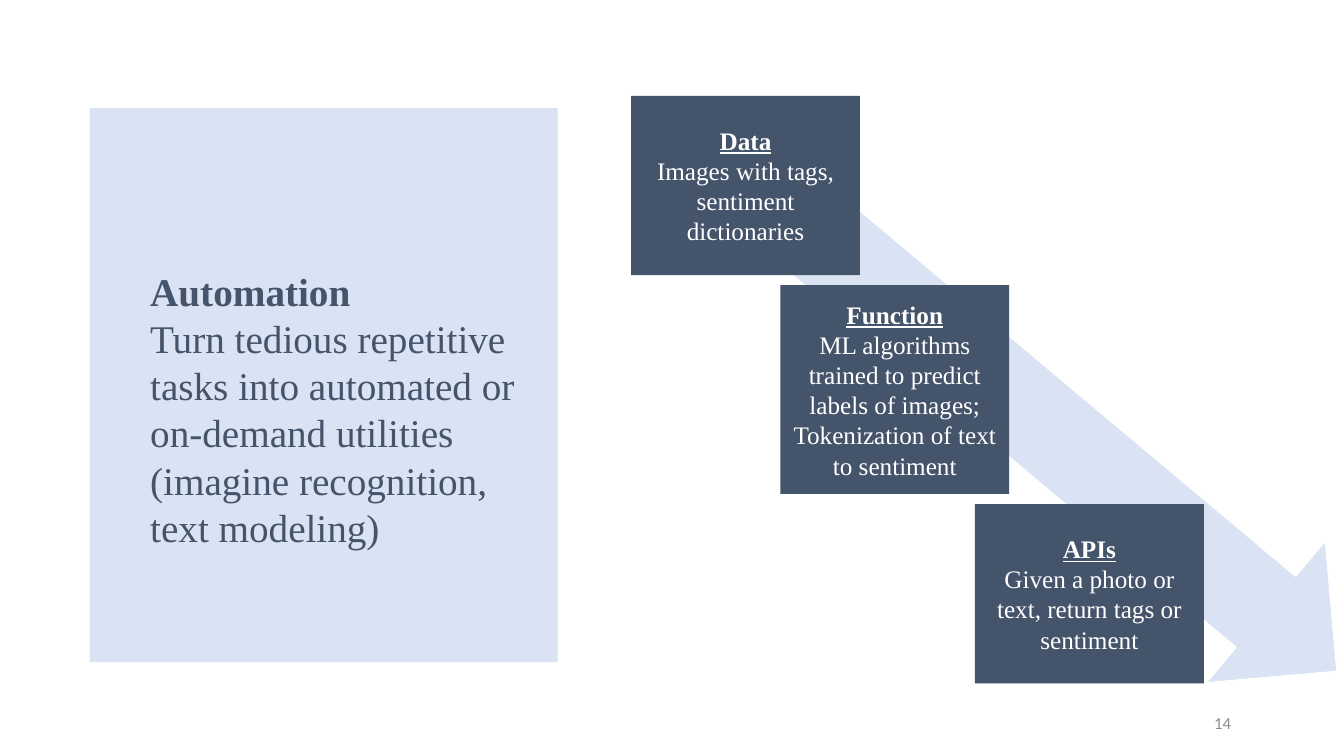
"""Build the automation slide: a summary panel beside three steps on a descending arrow."""
from dataclasses import dataclass

from pptx import Presentation
from pptx.dml.color import RGBColor
from pptx.enum.shapes import MSO_SHAPE
from pptx.enum.text import MSO_ANCHOR, PP_ALIGN
from pptx.util import Inches, Pt

RECTANGLE, RIGHT_ARROW = MSO_SHAPE.RECTANGLE, MSO_SHAPE.RIGHT_ARROW
MIDDLE = MSO_ANCHOR.MIDDLE
LEFT, CENTER, RIGHT = PP_ALIGN.LEFT, PP_ALIGN.CENTER, PP_ALIGN.RIGHT


@dataclass(frozen=True)
class Theme:
    pale: RGBColor = RGBColor(0xDA, 0xE3, 0xF3)
    slate: RGBColor = RGBColor(0x44, 0x54, 0x6A)
    white: RGBColor = RGBColor(0xFF, 0xFF, 0xFF)
    gray: RGBColor = RGBColor(0x8C, 0x8C, 0x8C)
    body_font: str = "Times New Roman"
    number_font: str = "Calibri"
    panel_size: int = 28
    step_size: int = 18
    number_size: int = 12


theme = Theme()


def add_block(kind, left, top, width, height, fill):
    block = slide.shapes.add_shape(
        kind, Inches(left), Inches(top), Inches(width), Inches(height))
    block.shadow.inherit = False
    block.fill.solid()
    block.fill.fore_color.rgb = fill
    block.line.fill.background()
    return block


def write(frame, lines, size, color, align, font=theme.body_font,
          heading=False, underline=False):
    frame.word_wrap = True
    frame.vertical_anchor = MIDDLE
    for index, line in enumerate(lines):
        paragraph = frame.paragraphs[0] if index == 0 else frame.add_paragraph()
        paragraph.alignment = align
        run = paragraph.add_run()
        run.text = line
        run.font.name = font
        run.font.size = Pt(size)
        run.font.color.rgb = color
        run.font.bold = heading and index == 0
        run.font.underline = underline and index == 0


deck = Presentation()
deck.slide_width, deck.slide_height = Inches(13.33), Inches(7.5)
slide = deck.slides.add_slide(deck.slide_layouts[6])

arrow = add_block(RIGHT_ARROW, 6.91, 3.43, 7.19, 1.84, theme.pale)
arrow.rotation = 40
arrow.line.color.rgb = theme.white
arrow.line.width = Pt(1)

page_number = slide.shapes.add_textbox(
    Inches(9.31), Inches(6.97), Inches(3), Inches(0.4))
write(page_number.text_frame, ["14"], theme.number_size, theme.gray, RIGHT,
      font=theme.number_font)

summary = add_block(RECTANGLE, 0.89, 1.07, 4.64, 5.5, theme.pale)
summary.text_frame.margin_left = Inches(0.6)
summary.text_frame.margin_top = Inches(0.52)
write(summary.text_frame,
      ["Automation",
       "Turn tedious repetitive tasks into automated or on-demand utilities "
       "(imagine recognition, text modeling)"],
      theme.panel_size, theme.slate, LEFT, heading=True)

steps = [
    (6.26, 0.95, 1.78, ["Data", "Images with tags, sentiment dictionaries"]),
    (7.74, 2.83, 2.07, ["Function",
                        "ML algorithms trained to predict labels of images;",
                        "Tokenization of text to sentiment"]),
    (9.67, 5, 1.78, ["APIs", "Given a photo or text, return tags or sentiment"]),
]
for left, top, height, lines in steps:
    step = add_block(RECTANGLE, left, top, 2.27, height, theme.slate)
    write(step.text_frame, lines, theme.step_size, theme.white, CENTER,
          heading=True, underline=True)

deck.save("out.pptx")
